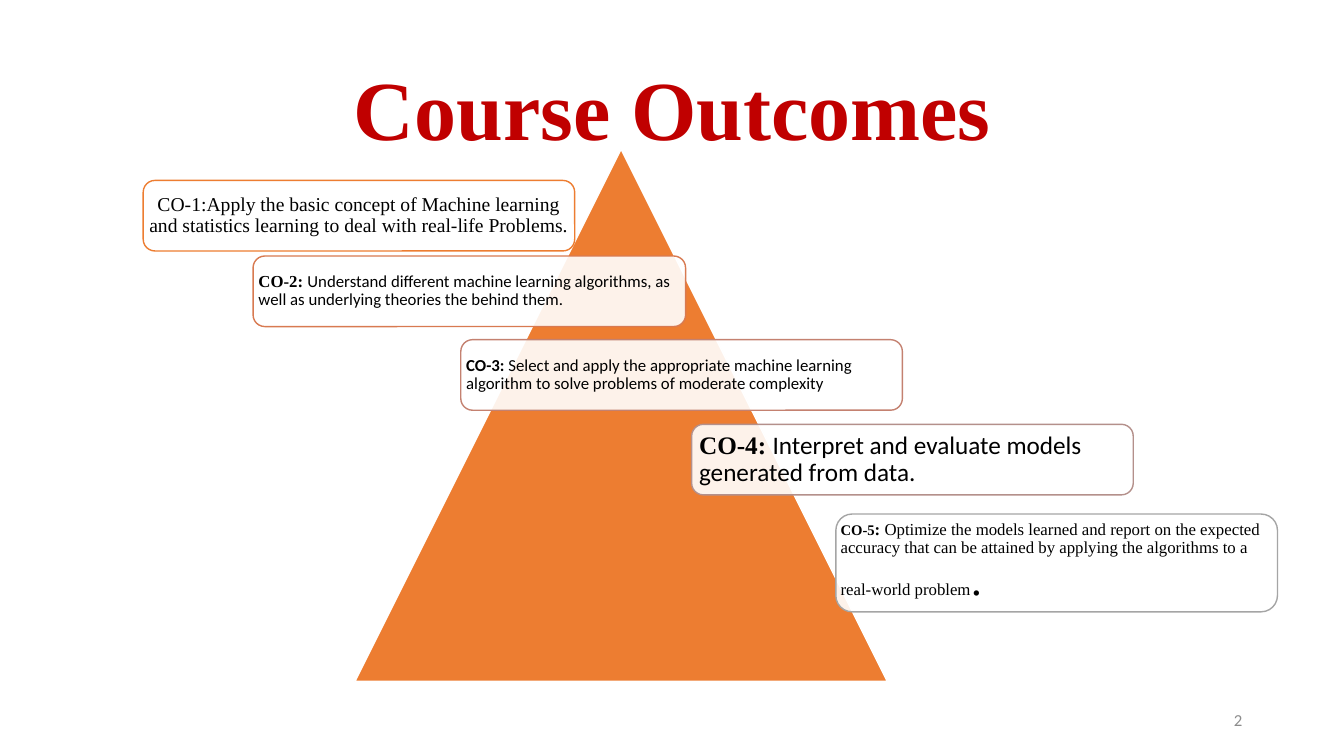
from dataclasses import dataclass

from lxml.etree import SubElement
from pptx import Presentation
from pptx.dml.color import RGBColor
from pptx.enum.shapes import MSO_SHAPE
from pptx.enum.text import MSO_ANCHOR, PP_ALIGN
from pptx.oxml.ns import qn
from pptx.util import Pt

EMU_PER_PX = 9144  # 100 px to the inch


@dataclass(frozen=True)
class Theme:
    serif: str = "Times New Roman"
    sans: str = "Calibri"
    title: str = "C00000"
    text: str = "000000"
    muted: str = "8C8C8C"
    pyramid: str = "ED7D31"
    paper: str = "FFFFFF"
    outlines: tuple = ("ED7D31", "D87A51", "C48170", "B4908B", "A5A5A5")
    title_size: float = 60
    dot_size: float = 32
    large: float = 18
    medium: float = 14
    small: float = 12
    tiny: float = 10.5
    line_width: float = 1
    line_spacing: float = 0.9
    card_opacity: int = 90


def px(length):
    return length * EMU_PER_PX


def set_all(target, values):
    for name, value in values.items():
        setattr(target, name, value)


class SlideBuilder:
    def __init__(self, slide, theme):
        self.slide = slide
        self.theme = theme

    def fill_text(self, box, spans, align, inset):
        """Each span is (text, font, size, colour, bold)."""
        frame = box.text_frame
        set_all(frame, {"word_wrap": True, "vertical_anchor": MSO_ANCHOR.MIDDLE})
        set_all(frame, {f"margin_{side}": px(inset)
                        for side in ("left", "top", "right", "bottom")})
        para = frame.paragraphs[0]
        set_all(para, {"alignment": align, "line_spacing": self.theme.line_spacing})
        for text, font, size, colour, bold in spans:
            span = para.add_run()
            span.text = text
            set_all(span.font, {"name": font, "size": Pt(size), "bold": bold})
            span.font.color.rgb = RGBColor.from_string(colour)

    def text(self, bounds, span, align, inset=10):
        box = self.slide.shapes.add_textbox(*map(px, bounds))
        self.fill_text(box, [span], align, inset)

    def shape(self, preset, bounds, fill, line, opacity=100):
        box = self.slide.shapes.add_shape(preset, *map(px, bounds))
        box.shadow.inherit = False
        box.fill.solid()
        box.fill.fore_color.rgb = RGBColor.from_string(fill)
        box.line.color.rgb = RGBColor.from_string(line)
        box.line.width = Pt(self.theme.line_width)
        if opacity < 100:
            properties = box.element.spPr
            colour = properties.find(qn("a:solidFill"))[0]
            SubElement(colour, qn("a:alpha"), val=str(opacity * 1000))
        return box

    def card(self, bounds, outline, spans, align, inset):
        box = self.shape(MSO_SHAPE.ROUNDED_RECTANGLE, bounds, self.theme.paper,
                         outline, self.theme.card_opacity)
        self.fill_text(box, spans, align, inset)


def main():
    theme = Theme()
    deck = Presentation()
    set_all(deck, {"slide_width": px(1333), "slide_height": px(750)})
    page = SlideBuilder(deck.slides.add_slide(deck.slide_layouts[6]), theme)

    # Title and page number
    page.text((92, 40, 1150, 145),
              ("Course Outcomes", theme.serif, theme.title_size, theme.title, True),
              PP_ALIGN.CENTER)
    page.text((942, 695, 300, 40),
              ("2", theme.sans, theme.small, theme.muted, False), PP_ALIGN.RIGHT)

    # Pyramid behind the outcomes
    page.shape(MSO_SHAPE.ISOSCELES_TRIANGLE, (352, 148, 528, 528),
               theme.pyramid, theme.paper)

    # Outcomes: bounds, alignment, inset, spans of (text, font, size, bold)
    serif, sans = theme.serif, theme.sans
    outcomes = [
        ((142, 179, 428, 70), PP_ALIGN.CENTER, 2, [
            ("CO-1:Apply the basic concept of Machine learning and statistics "
             "learning to deal with real-life Problems.", serif, theme.medium, False)]),
        ((251, 254, 429, 70), PP_ALIGN.LEFT, 2, [
            ("CO-2: ", serif, theme.small, True),
            ("Understand different machine learning algorithms, as well as "
             "underlying theories the behind them.", sans, theme.small, False)]),
        ((457, 337, 438, 70), PP_ALIGN.LEFT, 2, [
            ("CO-3: ", sans, theme.small, True),
            ("Select and apply the appropriate machine learning algorithm to "
             "solve problems of moderate complexity", sans, theme.small, False)]),
        ((686, 421, 438, 70), PP_ALIGN.LEFT, 4, [
            ("CO-4: ", serif, theme.large, True),
            ("Interpret and evaluate models generated from data.",
             sans, theme.large, False)]),
        ((829, 510, 438, 97), PP_ALIGN.LEFT, 0, [
            ("CO-5", serif, theme.tiny, True),
            (": ", serif, theme.small, True),
            ("Optimize the models learned and report on the expected accuracy "
             "that can be attained by applying the algorithms to a real-world "
             "problem", serif, theme.small, False),
            (".", serif, theme.dot_size, False)]),
    ]
    for outline, (bounds, align, inset, spans) in zip(theme.outlines, outcomes):
        coloured = [(text, font, size, theme.text, bold)
                    for text, font, size, bold in spans]
        page.card(bounds, outline, coloured, align, inset)

    deck.save("out.pptx")


if __name__ == "__main__":
    main()
